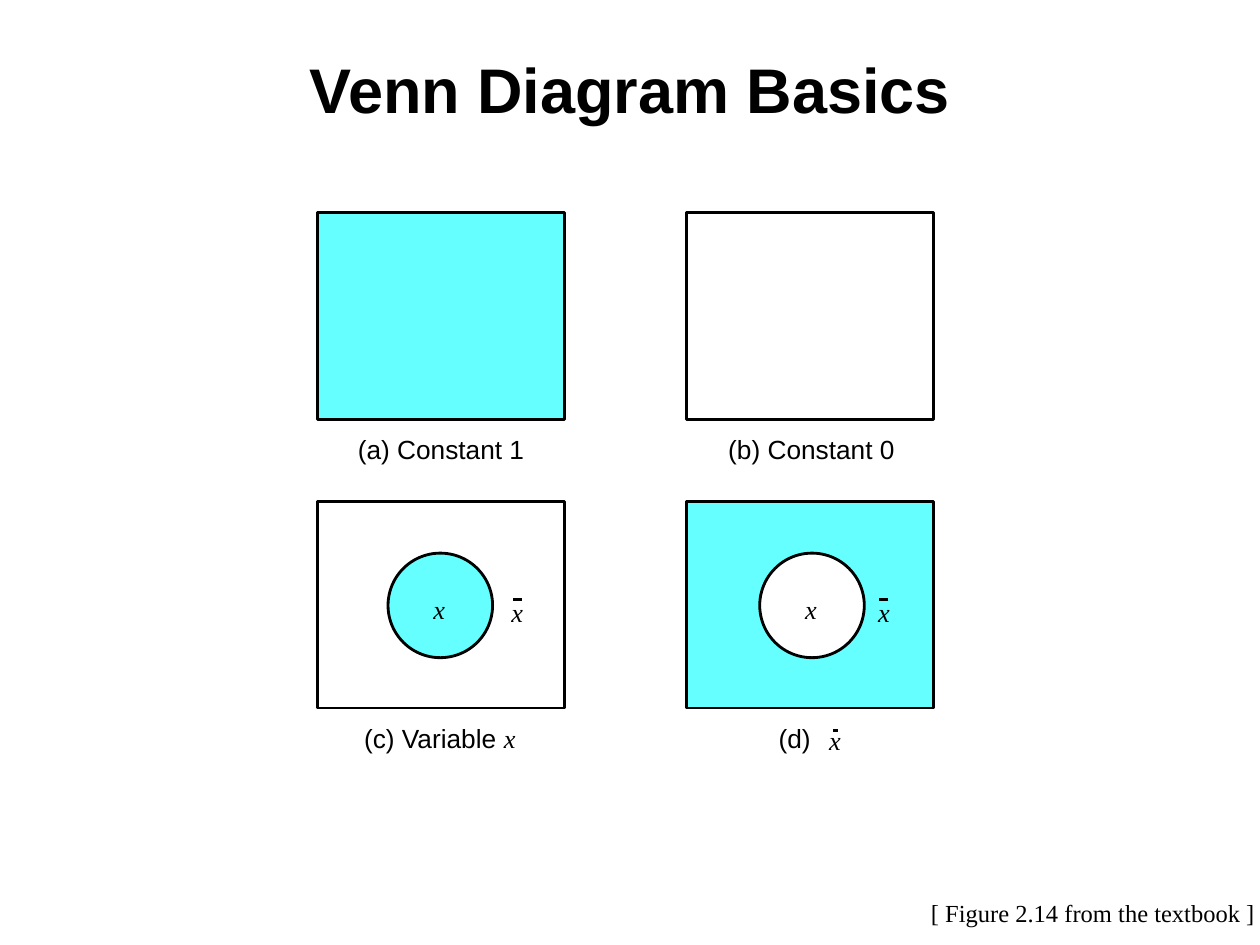
from typing import NamedTuple, Optional

from lxml.etree import SubElement
from pptx import Presentation
from pptx.dml.color import RGBColor
from pptx.enum.shapes import MSO_CONNECTOR as CONN, MSO_SHAPE as SHAPE
from pptx.enum.text import MSO_ANCHOR as ANCHOR, MSO_AUTO_SIZE as AUTO, PP_ALIGN as ALIGN
from pptx.oxml.ns import qn
from pptx.util import Inches, Pt

BLACK, WHITE, CYAN = "000000", "FFFFFF", "66FFFF"
LINE_W = Pt(1.62)
PANEL_W, PANEL_H, CIRCLE_D = 1.96, 1.64, 0.83
COLS, ROWS = (2.52, 5.45), (1.69, 3.98)

TITLE = {"name": "Arial", "size": Pt(36), "bold": True}
CAPTION = {"name": "Arial", "size": Pt(15)}
VARIABLE = {"name": "Times New Roman", "size": Pt(15), "italic": True}
SOURCE = {"name": "Times New Roman", "size": Pt(14)}


class Panel(NamedTuple):
    col: int
    row: int
    fill: str
    caption: str
    caption_x: float
    caption_w: float


class Circle(NamedTuple):
    x: float
    fill: str
    label_x: float
    outside_x: float


PANELS = [
    Panel(0, 0, CYAN, "(a) Constant 1", 2.84, 1.32),
    Panel(1, 0, WHITE, "(b) Constant 0", 5.78, 1.32),
    Panel(0, 1, WHITE, "(c) Variable", 2.89, 1.07),
    Panel(1, 1, CYAN, "(d)", 6.18, 0.31),
]
CIRCLES = [Circle(3.08, CYAN, 3.44, 4.06), Circle(6.03, WHITE, 6.39, 6.97)]


def color(value: str) -> RGBColor:
    return RGBColor.from_string(value)


def write(tf, text: str, fmt: dict) -> None:
    r = tf.paragraphs[0].add_run()
    r.text = text
    for key, value in fmt.items():
        setattr(r.font, key, value)
    r.font.color.rgb = color(BLACK)


def add_label(s, text: str, x: float, y: float, w: float, fmt: dict,
              h: float = 0.25, inset: tuple = (0, 0)) -> None:
    tf = s.shapes.add_textbox(Inches(x), Inches(y), Inches(w), Inches(h)).text_frame
    tf.word_wrap, tf.auto_size = False, AUTO.SHAPE_TO_FIT_TEXT
    tf.margin_left = tf.margin_right = Inches(inset[0])
    tf.margin_top = tf.margin_bottom = Inches(inset[1])
    write(tf, text, fmt)


def add_outlined(s, kind: SHAPE, x: float, y: float, w: float, h: float,
                 fill: Optional[str]) -> None:
    sp = s.shapes.add_shape(kind, Inches(x), Inches(y), Inches(w), Inches(h))
    sp.shadow.inherit = False
    sp.fill.solid()
    sp.fill.fore_color.rgb = color(fill)
    sp.line.color.rgb = color(BLACK)
    sp.line.width = LINE_W


def add_x(s, x: float, y: float) -> None:
    add_label(s, "x", x, y, 0.16, VARIABLE)


def add_bar(s, x: float, y: float, w: float) -> None:
    line = s.shapes.add_connector(CONN.STRAIGHT, Inches(x + w), Inches(y), Inches(x), Inches(y))
    line.line.color.rgb = color(BLACK)
    line.line.width = LINE_W
    SubElement(line._element.spPr, qn("a:effectLst"))


def main() -> None:
    prs = Presentation()
    prs.slide_width, prs.slide_height = Inches(10), Inches(7.5)
    s = prs.slides.add_slide(prs.slide_layouts[5])

    # Title
    title = s.shapes.title
    title.left, title.top = Inches(0), Inches(0.33)
    title.width, title.height = Inches(10), Inches(0.75)
    title.text_frame.vertical_anchor = ANCHOR.MIDDLE
    title.text_frame.paragraphs[0].alignment = ALIGN.CENTER
    write(title.text_frame, "Venn Diagram Basics", TITLE)

    # Panels with their captions
    for p in PANELS:
        y = ROWS[p.row]
        add_outlined(s, SHAPE.RECTANGLE, COLS[p.col], y, PANEL_W, PANEL_H, p.fill)
        add_label(s, p.caption, p.caption_x, y + 1.75, p.caption_w, CAPTION)

    # Circles: x inside, its complement outside
    for c in CIRCLES:
        add_outlined(s, SHAPE.OVAL, c.x, 4.39, CIRCLE_D, CIRCLE_D, c.fill)
        add_x(s, c.label_x, 4.71)
        add_x(s, c.outside_x, 4.73)
        add_bar(s, c.outside_x + 0.01, 4.76, 0.07)

    # Variables in the lower captions
    add_x(s, 4, 5.73)
    add_x(s, 6.58, 5.75)
    add_bar(s, 6.61, 5.8, 0.04)

    # Source note
    add_label(s, "[ Figure 2.14 from the textbook ]", 7.29, 7.08, 2.77, SOURCE,
              h=0.34, inset=(0.1, 0.05))

    prs.save("out.pptx")


if __name__ == "__main__":
    main()
